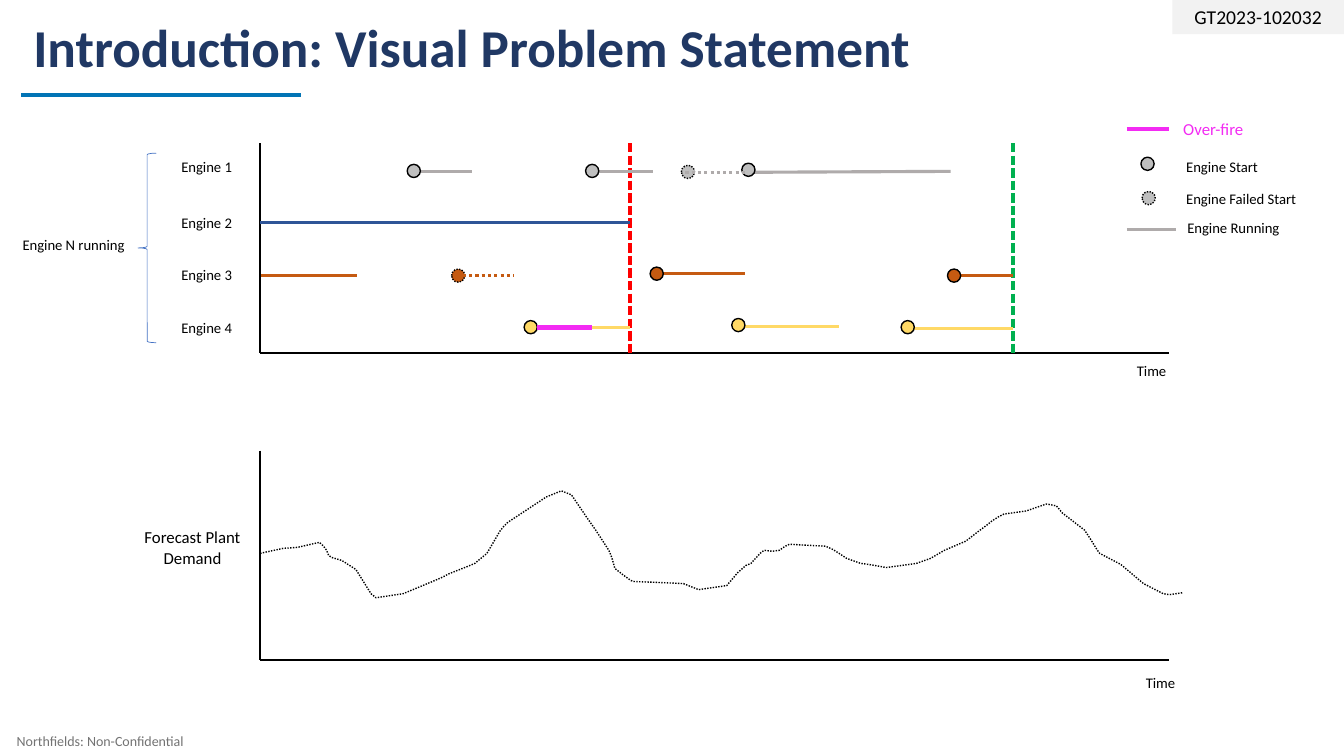
from lxml import etree
from pptx import Presentation
from pptx import util as u
from pptx.dml.color import RGBColor
from pptx.enum import dml, shapes, text
from pptx.oxml import ns

Pt = u.Pt
COLORS = {
    "black": "000000", "navy": "203864", "accent": "0274B5", "footer": "737373",
    "tag": "F2F2F2", "gray": "AFABAB", "dot gray": "BFBFBF", "blue": "2F5597",
    "orange": "C55A11", "yellow": "FFD966", "magenta": "F32BF3",
    "red": "FF0000", "green": "00B050", "brace": "4472C4",
}
DASHES = {"dash": dml.MSO_LINE.SQUARE_DOT, "dot": dml.MSO_LINE.ROUND_DOT}
LEFT, CENTER, RIGHT = (text.PP_ALIGN.LEFT, text.PP_ALIGN.CENTER, text.PP_ALIGN.RIGHT)
TOP, MIDDLE = text.MSO_ANCHOR.TOP, text.MSO_ANCHOR.MIDDLE
AXIS_X, AXIS_END = 185.8, 835.2
DOT = 9.4

# Engine rows: label top, run colour, dot colour, runs (x1, y1, x2, y2),
# starts (left, top), failed run and failed start
ENGINES = [
    (109.4, "gray", "dot gray",
     [(294.5, 122.4, 337, 122.4), (424.1, 122.4, 466.6, 122.4),
      (532.1, 123.1, 679, 122.4)],
     [(290.9, 117.4), (418.3, 117.4), (529.9, 116.6)],
     (489.6, 123.1, 532.1, 123.1), (486.7, 118.1)),
    (149, "blue", "blue", [(AXIS_X, 159.1, 450, 159.1)], [], None, None),
    (186.5, "orange", "orange",
     [(186.5, 196.6, 254.9, 196.6), (466.6, 195.1, 532.1, 195.1),
      (679, 196.6, 723.6, 196.6)],
     [(464.4, 190.8), (676.8, 192.2)],
     (326.2, 196.6, 367.2, 196.6), (322.6, 192.2)),
    (223.9, "yellow", "yellow",
     [(379.4, 234, 450, 234), (528.5, 233.3, 599, 233.3),
      (653, 234.7, 723.6, 234.7)],
     [(374.4, 229), (522.7, 227.5), (643.7, 229)], None, None),
]

DEMAND = [
    (185.8, 395.3), (202.3, 391.7), (212.4, 391), (228.2, 387.4), (231.1, 390.2),
    (233.3, 393.1), (234.7, 396.7), (236.9, 398.2), (244.1, 400.3), (254.2, 406.8),
    (265, 424.1), (268.6, 427), (288, 424.1), (308.9, 415.4), (315.4, 412.6),
    (321.1, 409.7), (334.1, 404.6), (339.1, 402.5), (347.8, 395.3), (357.1, 379.4),
    (359.3, 376.6), (362.9, 373), (390.2, 355), (401, 350.6), (408.2, 353.5),
    (419, 369.4), (425.5, 378.7), (434.9, 393.1), (437, 398.2), (439.2, 406.1),
    (445.7, 411.1), (450.7, 414.7), (452.9, 415.4), (473.8, 416.2), (488.2, 416.9),
    (499, 421.2), (519.1, 418.3), (527, 409), (532.8, 403.9), (536.4, 402.5),
    (542.9, 395.3), (545.8, 393.1), (551.5, 393.8), (556.6, 393.1), (560.9, 390.2),
    (563.8, 388.8), (589.7, 390.2), (594.7, 392.4), (598.3, 394.6), (604.8, 398.9),
    (614.9, 402.5), (620.6, 403.2), (633.2, 405.4), (654.5, 402.5), (664.6, 398.9),
    (674.6, 393.1), (689.8, 386.6), (699.1, 379.4), (704.9, 375.1), (708.5, 372.2),
    (712.8, 369.4), (717.1, 367.2), (733, 365), (747.5, 360), (754.6, 361.4),
    (758.9, 366.5), (774.7, 378.7), (779, 385.2), (783.4, 392.4), (785.5, 395.3),
    (800.6, 403.2), (816.8, 416.9), (830.9, 424.1), (835.2, 424.8), (844.6, 423.4),
]


def rgb(name):
    return RGBColor.from_string(COLORS[name])


def apply(obj, formats):
    for name, value in formats.items():
        setattr(obj, name, value)


def set_line(line, color, width, dash=None):
    line.color.rgb = rgb(color)
    apply(line, {"width": Pt(width), "dash_style": DASHES.get(dash)})


def write(sp, words, size, color="black", align=LEFT, anchor=TOP, bold=False,
          margins=(7.2, 3.6, 7.2, 3.6)):
    tf = sp.text_frame
    sides = ("margin_left", "margin_top", "margin_right", "margin_bottom")
    apply(tf, {"word_wrap": True, "vertical_anchor": anchor,
               **{side: Pt(m) for side, m in zip(sides, margins)}})
    p = tf.paragraphs[0]
    p.alignment = align
    r = p.add_run()
    r.text = words
    apply(r.font, {"name": "Calibri", "size": Pt(size), "bold": bold})
    r.font.color.rgb = rgb(color)


def add_label(s, words, x, y, w, h, size=10.5, **formats):
    write(s.shapes.add_textbox(Pt(x), Pt(y), Pt(w), Pt(h)), words, size, **formats)


def add_line(s, ends, color, width=2.25, dash=None):
    sp = s.shapes.add_connector(shapes.MSO_CONNECTOR.STRAIGHT, *map(Pt, ends))
    set_line(sp.line, color, width, dash)
    etree.SubElement(sp._element.spPr, ns.qn("a:effectLst"))


def add_preset(s, kind, x, y, w, h, fill=None):
    sp = s.shapes.add_shape(kind, Pt(x), Pt(y), Pt(w), Pt(h))
    sp.shadow.inherit = False
    if fill:
        sp.fill.solid()
        sp.fill.fore_color.rgb = rgb(fill)
    else:
        sp.fill.background()
    return sp


def add_dot(s, x, y, fill, dash=None):
    sp = add_preset(s, shapes.MSO_SHAPE.OVAL, x, y, DOT, DOT, fill)
    set_line(sp.line, "black", 1, dash)


def add_axes(s, top, bottom, time_x, time_y):
    add_line(s, (AXIS_X, top, AXIS_X, bottom), "black", 1.5)
    add_line(s, (AXIS_X, bottom, AXIS_END, bottom), "black", 1.5)
    add_label(s, "Time", time_x, time_y, 89.3, 20.9)


def add_curve(s, points):
    scale = 100
    scaled = [(x * scale, y * scale) for x, y in points]
    builder = s.shapes.build_freeform(*scaled[0], scale=Pt(1) / scale)
    builder.add_line_segments(scaled[1:], close=False)
    sp = builder.convert_to_shape()
    sp.shadow.inherit = False
    sp.fill.background()
    set_line(sp.line, "black", 1, "dot")


def add_engine(s, number, top, color, dot_color, runs, starts, failed_run, failed_start):
    add_label(s, f"Engine {number}", 83.5, top, 89.3, 20.9, align=RIGHT)
    for run in runs:
        add_line(s, run, color)
    for x, y in starts:
        add_dot(s, x, y, dot_color)
    if failed_run:
        add_dot(s, *failed_start, dot_color, "dot")
        add_line(s, failed_run, color, dash="dot")


def add_legend(s):
    add_line(s, (805, 92.2, 835.2, 92.2), "magenta", 3)
    add_dot(s, 815, 112.3, "dot gray")
    add_dot(s, 815.8, 136.8, "dot gray", "dot")
    add_line(s, (805, 164.2, 840.2, 164.2), "gray")
    add_label(s, "Over-fire", 838.1, 81.4, 102.2, 21.6, 12, color="magenta")
    for words, x, y in (("Engine Start", 840.2, 109.4),
                        ("Engine Failed Start", 840.2, 131.8),
                        ("Engine Running", 841, 152.6)):
        add_label(s, words, x, y, 97.2, 20.2)


def main():
    prs = Presentation()
    apply(prs, {"slide_width": Pt(960), "slide_height": Pt(540)})
    s = prs.slides.add_slide(prs.slide_layouts[6])

    # Header and footer
    add_label(s, "Northfields: Non-Confidential", 0, 519.1, 141.1, 20.9, 10,
              color="footer", anchor=MIDDLE, margins=(12, 0, 0, 0))
    tag = add_preset(s, shapes.MSO_SHAPE.RECTANGLE, 837.4, 0, 122.6, 24.5, "tag")
    tag.line.fill.background()
    write(tag, "GT2023-102032", 14, align=CENTER, anchor=MIDDLE)
    add_line(s, (15.1, 67.7, 215.3, 67.7), "accent", 3)
    add_label(s, "Introduction: Visual Problem Statement", 23.8, 10.1, 920.9, 46.1, 38,
              color="navy", bold=True, anchor=MIDDLE, margins=(0, 0, 0, 0))

    # Engine timeline
    add_axes(s, 102.2, 252, 805, 254.9)
    for x, color in ((450, "red"), (723.6, "green")):
        add_line(s, (x, 102.2, x, 252), color, dash="dash")
    for number, engine in enumerate(ENGINES, 1):
        add_engine(s, number, *engine)
    add_line(s, (383.8, 234, 422.6, 234), "magenta", 3)
    brace = add_preset(s, shapes.MSO_SHAPE.LEFT_BRACE, 98.6, 109.4, 13, 135.4)
    set_line(brace.line, "brace", 0.5)
    add_label(s, "Engine N running", 7.9, 164.9, 89.3, 20.2, align=CENTER)

    # Plant demand forecast
    add_axes(s, 321.8, 471.6, 811.4, 477.4)
    add_curve(s, DEMAND)
    add_label(s, "Forecast Plant Demand", 92.9, 373, 89.3, 36, 12, align=CENTER)

    add_legend(s)
    prs.save("out.pptx")


if __name__ == "__main__":
    main()
